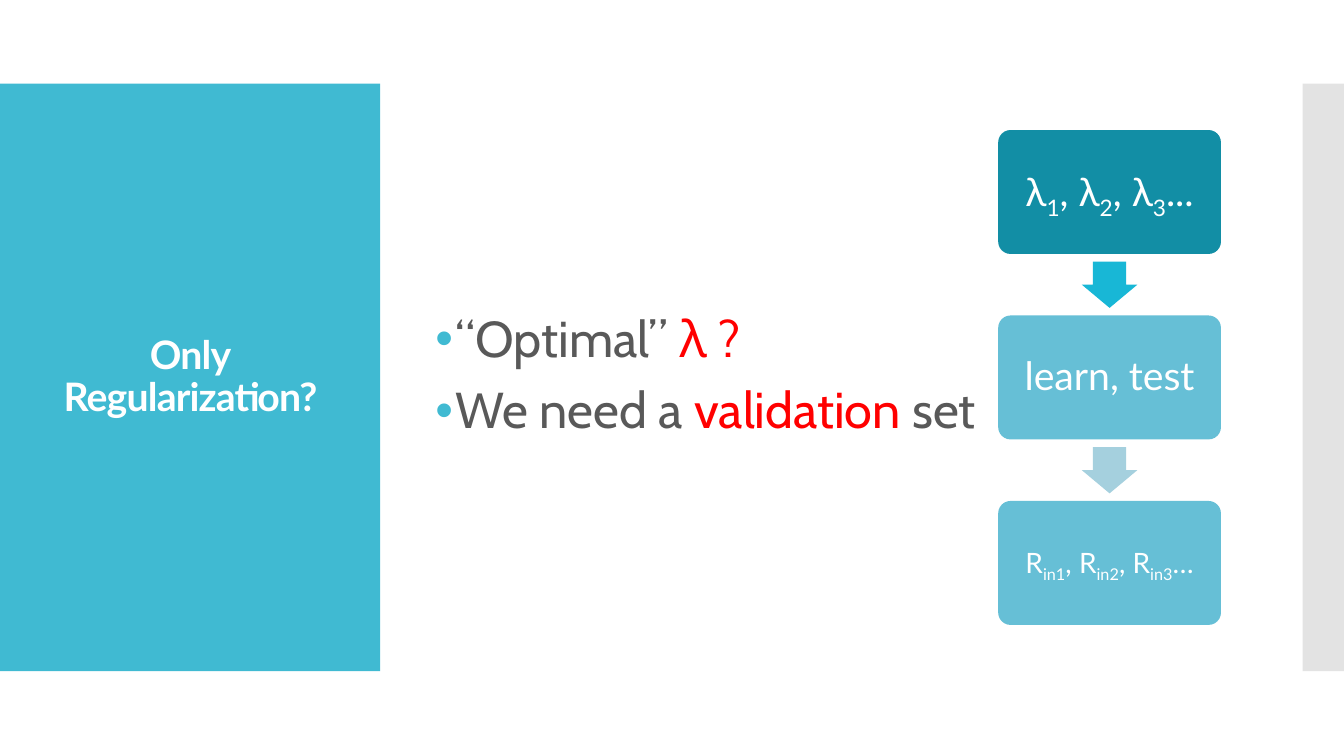
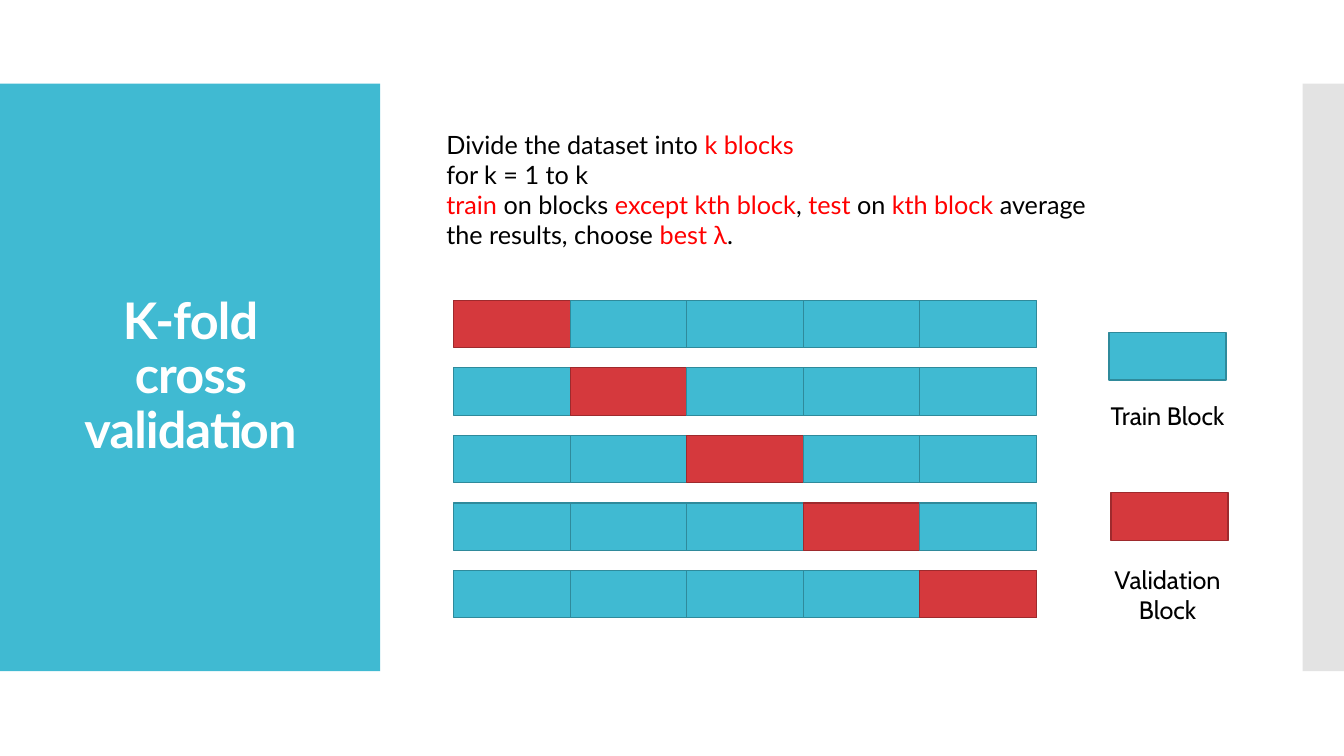
from dataclasses import dataclass

from lxml.etree import SubElement
from pptx import Presentation
from pptx.dml.color import RGBColor
from pptx.enum.shapes import MSO_SHAPE as Preset
from pptx.enum.text import MSO_ANCHOR as Anchor, MSO_AUTO_SIZE as AutoSize, PP_ALIGN as Align
from pptx.oxml.ns import qn
from pptx.shapes.autoshape import Shape
from pptx.slide import Slide
from pptx.text.text import TextFrame
from pptx.util import Inches, Pt

TEAL, TEAL_EDGE = "40BAD2", "2F8A9B"
CRIMSON, CRIMSON_EDGE = "D5393D", "9E2A2D"
WHITE, BLACK, RED, GRAY, SILVER = "FFFFFF", "000000", "FF0000", "595959", "C8C8C8"
LATO, CABIN = "Lato", "Cabin"

BAND_TOP, BAND_HEIGHT = 0.83, 5.83
BLOCK_WIDTH, BLOCK_HEIGHT = 1.16, 0.47
FOLD_COUNT, FOLDS_LEFT, FOLDS_TOP, FOLDS_WIDTH, FOLD_PITCH = 5, 4.5, 2.98, 5.78, 0.67
STEP_LEFT, STEP_TOP, STEP_WIDTH, STEP_HEIGHT, STEP_PITCH = 9.9, 1.29, 2.21, 1.23, 1.84
ARROW_WIDTH, ARROW_HEIGHT = 0.55, 0.46


@dataclass(frozen=True)
class Span:
    text: str
    color: str | None = None
    subscript: bool = False


@dataclass(frozen=True)
class Box:
    left: float
    top: float
    width: float
    height: float

    def lengths(self) -> tuple[Inches, ...]:
        return tuple(Inches(value) for value in (self.left, self.top, self.width, self.height))


@dataclass(frozen=True)
class Step:
    spans: list[Span]
    size: int
    fill: str
    arrow_fill: str | None = None


@dataclass(frozen=True)
class LegendEntry:
    label: str
    block_left: float
    block_top: float
    label_top: float
    label_height: float
    is_validation: bool


def rgb(color: str) -> RGBColor:
    return RGBColor.from_string(color)


def write_text(frame: TextFrame, paragraphs: list[list[Span]], *, font: str, size: int,
               color: str = BLACK, bold: bool = False, align: Align = Align.LEFT,
               anchor: Anchor = Anchor.TOP, line_spacing: float = 1.0,
               space_before: int = 0, tracking: float = 0, margin_x: float = 0.1,
               bullet_color: str | None = None) -> None:
    """Fill a frame; a newline inside a span becomes a line break."""
    frame.word_wrap = True
    frame.auto_size = AutoSize.NONE
    frame.vertical_anchor = anchor
    frame.margin_left = frame.margin_right = Inches(margin_x)
    for index, spans in enumerate(paragraphs):
        paragraph = frame.add_paragraph() if index else frame.paragraphs[0]
        paragraph.alignment = align
        paragraph.line_spacing = line_spacing
        paragraph.space_before = Pt(space_before)
        if bullet_color:
            properties = paragraph._p.get_or_add_pPr()
            properties.set("marL", str(Inches(0.2)))
            properties.set("indent", str(Inches(-0.2)))
            SubElement(SubElement(properties, qn("a:buClr")), qn("a:srgbClr"), val=bullet_color)
            SubElement(properties, qn("a:buFont"), typeface="Arial")
            SubElement(properties, qn("a:buChar"), char="•")
        for span in spans:
            for line_index, line in enumerate(span.text.split("\n")):
                if line_index:
                    paragraph.add_line_break()
                run = paragraph.add_run()
                run.text = line
                run.font.name = font
                run.font.size = Pt(size)
                run.font.bold = bold
                run.font.color.rgb = rgb(span.color or color)
                if span.subscript:
                    run.font._element.set("baseline", "-25000")
                if tracking:
                    run.font._element.set("spc", str(round(tracking * 100)))


def add_text(slide: Slide, box: Box, paragraphs: list[list[Span]], **text_format) -> None:
    write_text(slide.shapes.add_textbox(*box.lengths()).text_frame, paragraphs, **text_format)


def add_preset(slide: Slide, preset: Preset, box: Box, fill: str,
               edge: str | None = None) -> Shape:
    shape = slide.shapes.add_shape(preset, *box.lengths())
    shape.shadow.inherit = False
    shape.fill.solid()
    shape.fill.fore_color.rgb = rgb(fill)
    if edge:
        shape.line.color.rgb = rgb(edge)
        shape.line.width = Pt(0.85)
    else:
        shape.line.fill.background()
    return shape


def add_block(slide: Slide, left: float, top: float, is_validation: bool) -> None:
    fill, edge = (CRIMSON, CRIMSON_EDGE) if is_validation else (TEAL, TEAL_EDGE)
    add_preset(slide, Preset.RECTANGLE, Box(left, top, BLOCK_WIDTH, BLOCK_HEIGHT), fill, edge)


def add_titled_slide(presentation: Presentation, title_text: str, title_size: int) -> Slide:
    """Add a slide with the title panel on the left and the strip on the right."""
    slide = presentation.slides.add_slide(presentation.slide_layouts[5])
    title = slide.shapes.title
    panel = add_preset(slide, Preset.RECTANGLE, Box(0, BAND_TOP, 3.77, BAND_HEIGHT), TEAL)
    strip = add_preset(slide, Preset.RECTANGLE, Box(12.92, BAND_TOP, 0.42, BAND_HEIGHT), SILVER)
    strip_color = next(strip.element.iter(qn("a:srgbClr")))
    SubElement(strip_color, qn("a:alpha"), val="50000")
    for band in (panel, strip):
        title.element.addprevious(band.element)
    title.left, title.top, title.width, title.height = Box(0.28, 1.23, 3.22, 5.03).lengths()
    write_text(title.text_frame, [[Span(title_text)]], font=LATO, size=title_size, color=WHITE,
               bold=True, align=Align.CENTER, anchor=Anchor.MIDDLE, line_spacing=0.9,
               tracking=-0.6)
    return slide


def indexed_spans(symbol: str, indices: list[str], ending: str) -> list[Span]:
    """List a symbol once per subscript, separated by commas."""
    spans = []
    for position, index in enumerate(indices):
        spans += [Span(f", {symbol}" if position else symbol), Span(index, subscript=True)]
    return spans + [Span(ending)]


def add_step(slide: Slide, step: Step, top: float) -> None:
    box = Box(STEP_LEFT, top, STEP_WIDTH, STEP_HEIGHT)
    card = add_preset(slide, Preset.ROUNDED_RECTANGLE, box, step.fill)
    card.adjustments[0] = 0.1
    write_text(card.text_frame, [step.spans], font=LATO, size=step.size, color=WHITE,
               align=Align.CENTER, anchor=Anchor.MIDDLE, line_spacing=0.9)
    if step.arrow_fill:
        arrow_left = STEP_LEFT + (STEP_WIDTH - ARROW_WIDTH) / 2
        arrow_top = top + (STEP_HEIGHT + STEP_PITCH - ARROW_HEIGHT) / 2
        arrow = add_preset(slide, Preset.DOWN_ARROW,
                           Box(arrow_left, arrow_top, ARROW_WIDTH, ARROW_HEIGHT),
                           step.arrow_fill)
        arrow.adjustments[0] = 0.6
        arrow.adjustments[1] = 0.5


def build_regularization_slide(presentation: Presentation) -> None:
    slide = add_titled_slide(presentation, "Only\nRegularization?", 28)
    bullets = [
        [Span("“Optimal” "), Span("λ ?", RED)],
        [Span("We need a "), Span("validation", RED), Span(" set")],
    ]
    add_text(slide, Box(4.22, 1.79, 8, 3.9), bullets, font=CABIN, size=36, color=GRAY,
             anchor=Anchor.MIDDLE, line_spacing=0.9, space_before=12, bullet_color=TEAL)
    steps = [
        Step(indexed_spans("λ", ["1", "2", "3"], "..."), 28, "128EA5", "18B7D6"),
        Step([Span("learn, test")], 28, "66BFD6", "A5D0DE"),
        Step(indexed_spans("R", ["in1", "in2", "in3"], "…"), 20, "66BFD6"),
    ]
    for index, step in enumerate(steps):
        add_step(slide, step, STEP_TOP + index * STEP_PITCH)


def build_cross_validation_slide(presentation: Presentation) -> None:
    slide = add_titled_slide(presentation, "K-fold\ncross validation", 36)
    procedure = [
        [Span("Divide the dataset into "), Span("k blocks", RED)],
        [Span("for k = 1 to k")],
        [Span("train", RED), Span(" on blocks "), Span("except kth block", RED), Span(", "),
         Span("test", RED), Span(" on "), Span("kth block ", RED),
         Span("average the results, choose "), Span("best λ", RED), Span(".")],
    ]
    add_text(slide, Box(4.33, 1.23, 6.67, 1.31), procedure, font=LATO, size=18)

    for fold in range(FOLD_COUNT):
        for column in range(FOLD_COUNT):
            add_block(slide, FOLDS_LEFT + column * FOLDS_WIDTH / FOLD_COUNT,
                      FOLDS_TOP + fold * FOLD_PITCH, is_validation=column == fold)

    legend = [
        LegendEntry("Train Block", 11, 3.3, 3.92, 0.4, False),
        LegendEntry("Validation Block", 11.02, 4.89, 5.55, 0.71, True),
    ]
    for entry in legend:
        add_block(slide, entry.block_left, entry.block_top, entry.is_validation)
        add_text(slide, Box(10.91, entry.label_top, 1.34, entry.label_height),
                 [[Span(entry.label)]], font=CABIN, size=18, align=Align.CENTER, margin_x=0)


def main() -> None:
    presentation = Presentation()
    presentation.slide_width = Inches(13.33)
    presentation.slide_height = Inches(7.5)
    build_regularization_slide(presentation)
    build_cross_validation_slide(presentation)
    presentation.save("out.pptx")


if __name__ == "__main__":
    main()
